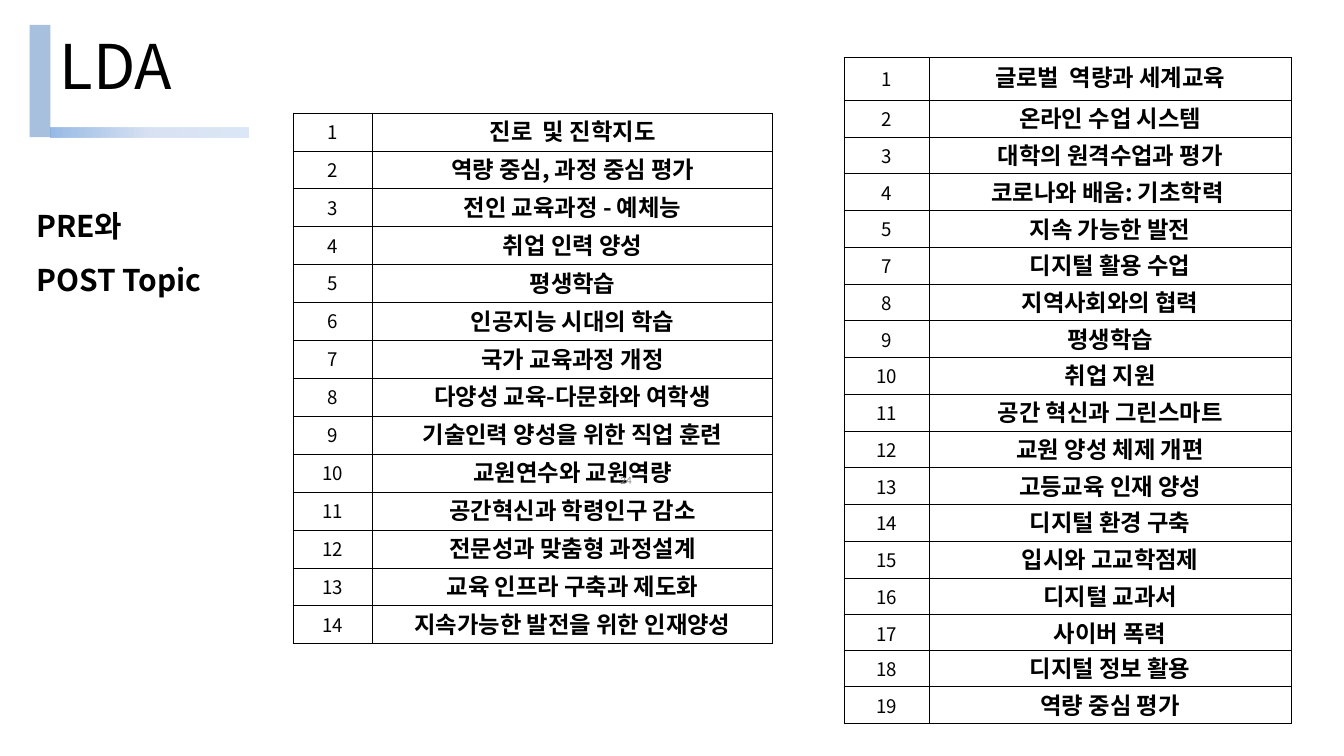
from lxml import etree
from pptx import Presentation
from pptx.dml.color import RGBColor
from pptx.enum.shapes import MSO_SHAPE
from pptx.enum.text import MSO_ANCHOR, MSO_AUTO_SIZE, PP_ALIGN
from pptx.oxml import parse_xml
from pptx.oxml.ns import nsdecls, qn
from pptx.util import Inches, Pt

RECTANGLE = MSO_SHAPE.RECTANGLE
MIDDLE = MSO_ANCHOR.MIDDLE
GROW = MSO_AUTO_SIZE.SHAPE_TO_FIT_TEXT
LEFT, CENTER, RIGHT, JUSTIFY = PP_ALIGN.LEFT, PP_ALIGN.CENTER, PP_ALIGN.RIGHT, PP_ALIGN.JUSTIFY

WIDTH, HEIGHT = 20, 11.25
MARGIN = 0.44
KOREAN, LATIN = "Noto Sans CJK KR", "Calibri"
COLORS = {
    "text": "000000",
    "number": "888888",
    "bar": "93B3D7",
    "fade_start": "538CD5",
    "fade_middle": "BFCFEC",
    "fade_end": "C5D8F1",
}

PRE_TOPICS = [
    (1, "진로  및 진학지도"),
    (2, "역량 중심, 과정 중심 평가"),
    (3, "전인 교육과정 - 예체능"),
    (4, "취업 인력 양성"),
    (5, "평생학습"),
    (6, "인공지능 시대의 학습"),
    (7, "국가 교육과정 개정"),
    (8, "다양성 교육-다문화와 여학생"),
    (9, "기술인력 양성을 위한 직업 훈련"),
    (10, "교원연수와 교원역량"),
    (11, "공간혁신과 학령인구 감소"),
    (12, "전문성과 맞춤형 과정설계"),
    (13, "교육 인프라 구축과 제도화"),
    (14, "지속가능한 발전을 위한 인재양성"),
]
POST_TOPICS = [
    (1, "글로벌  역량과 세계교육"),
    (2, "온라인 수업 시스템"),
    (3, "대학의 원격수업과 평가"),
    (4, "코로나와 배움: 기초학력 "),
    (5, "지속 가능한 발전"),
    (7, "디지털 활용 수업"),
    (8, "지역사회와의 협력"),
    (9, "평생학습"),
    (10, "취업 지원"),
    (11, "공간 혁신과 그린스마트"),
    (12, "교원 양성 체제 개편"),
    (13, "고등교육 인재 양성"),
    (14, "디지털 환경 구축"),
    (15, "입시와 고교학점제"),
    (16, "디지털 교과서"),
    (17, "사이버 폭력"),
    (18, "디지털 정보 활용"),
    (19, "역량 중심 평가"),
]


def style_paragraph(para, text, size, align, color="text", face=KOREAN, bold=False, spacing=1.0):
    """Write the text of a paragraph and set its font and layout."""
    para.text = text
    para.alignment = align
    para.line_spacing = spacing
    font = para.font
    font.name, font.size, font.bold = face, Pt(size), bold
    font.color.rgb = RGBColor.from_string(COLORS[color])
    defaults = para._p.pPr.find(qn("a:defRPr"))
    etree.SubElement(defaults, qn("a:ea")).set("typeface", face)


def add_text(shapes, area, lines, size, align, padding=0.05, anchor=None, grow=True, **style):
    """Add a text box with one paragraph per line."""
    box = shapes.add_textbox(*map(Inches, area))
    frame = box.text_frame
    frame.word_wrap = True
    frame.margin_left = frame.margin_right = Inches(0.1)
    frame.margin_top = frame.margin_bottom = Inches(padding)
    if grow:
        frame.auto_size = GROW
    if anchor is not None:
        frame.vertical_anchor = anchor
    for index, line in enumerate(lines):
        para = frame.add_paragraph() if index else frame.paragraphs[0]
        style_paragraph(para, line, size, align, **style)


def add_bar(shapes, area, stops, opacity):
    """Add a translucent bar, solid for one colour and a gradient for several."""
    bar = shapes.add_shape(RECTANGLE, *map(Inches, area))
    bar.shadow.inherit = False
    bar.line.fill.background()
    paints = [
        f'<a:srgbClr val="{COLORS[name]}"><a:alpha val="{opacity * 1000}"/></a:srgbClr>'
        for name in stops
    ]
    if len(paints) == 1:
        fill = f'<a:solidFill {nsdecls("a")}>{paints[0]}</a:solidFill>'
    else:
        step = 100000 // (len(paints) - 1)
        marks = "".join(
            f'<a:gs pos="{index * step}">{paint}</a:gs>' for index, paint in enumerate(paints)
        )
        fill = (
            f'<a:gradFill {nsdecls("a")} rotWithShape="1"><a:gsLst>{marks}</a:gsLst>'
            '<a:lin ang="0" scaled="0"/></a:gradFill>'
        )
    bar._element.spPr.find(qn("a:prstGeom")).addnext(parse_xml(fill))


def add_title(slide, title):
    """Add the grouped title with its upright and fading bars."""
    shapes = slide.shapes.add_group_shape().shapes
    add_bar(shapes, (MARGIN, 0.37, 0.31, 1.67), ["bar"], 82)
    add_bar(shapes, (0.75, 1.9, 2.95, 0.14), ["fade_start", "fade_middle", "fade_end"], 60)
    add_text(shapes, (0.79, 0.37, 2.87, 1.21), [title], 66, LEFT)


def style_cell(cell, text, size, **style):
    """Write a transparent, centred table cell with thin borders."""
    cell.margin_left = cell.margin_top = cell.margin_right = Inches(0.01)
    cell.margin_bottom = Inches(0.1)
    cell.vertical_anchor = MIDDLE
    cell.fill.background()
    style_paragraph(cell.text_frame.paragraphs[0], text, size, CENTER, **style)
    properties = cell._tc.get_or_add_tcPr()
    for position, side in enumerate(("lnL", "lnR", "lnT", "lnB")):
        border = parse_xml(
            f'<a:{side} {nsdecls("a")} w="{Pt(0.75)}"><a:solidFill>'
            f'<a:srgbClr val="{COLORS["text"]}"/></a:solidFill></a:{side}>'
        )
        properties.insert(position, border)


def add_topics(slide, left, top, widths, height, topics, special_rows=None):
    """Add a numbered topic table, sharing the height left by special rows equally."""
    special_rows = special_rows or {}
    regular = (height - sum(special_rows.values())) / (len(topics) - len(special_rows))
    area = (left, top, sum(widths), height)
    frame = slide.shapes.add_table(len(topics), len(widths), *map(Inches, area))
    table = frame.table
    table.first_row = table.horz_banding = False
    for column, width in zip(table.columns, widths):
        column.width = Inches(width)
    for index, (number, topic) in enumerate(topics):
        table.rows[index].height = Inches(special_rows.get(index, regular))
        style_cell(table.cell(index, 0), str(number), 20, spacing=1.15)
        style_cell(table.cell(index, 1), topic, 25, bold=True)


def main():
    """Build the topic slide and save the deck."""
    deck = Presentation()
    deck.slide_width, deck.slide_height = Inches(WIDTH), Inches(HEIGHT)
    page = deck.slides.add_slide(deck.slide_layouts[6])
    add_title(page, "LDA")
    add_text(page.shapes, (MARGIN, 2.73, 2.86, 1.82), ["PRE와 ", "POST Topic"], 32, JUSTIFY,
             padding=0.1, bold=True, spacing=1.5)
    add_topics(page, 4.36, 1.68, (1.18, 5.96), 7.9, PRE_TOPICS)
    add_topics(page, 12.56, 0.86, (1.27, 5.38), 9.89, POST_TOPICS, {0: 0.63, 15: 0.51})
    add_text(page.shapes, (7.17, 6.95, 2.33, 0.4), ["24"], 12, RIGHT,
             anchor=MIDDLE, grow=False, color="number", face=LATIN)
    deck.save("out.pptx")


if __name__ == "__main__":
    main()
